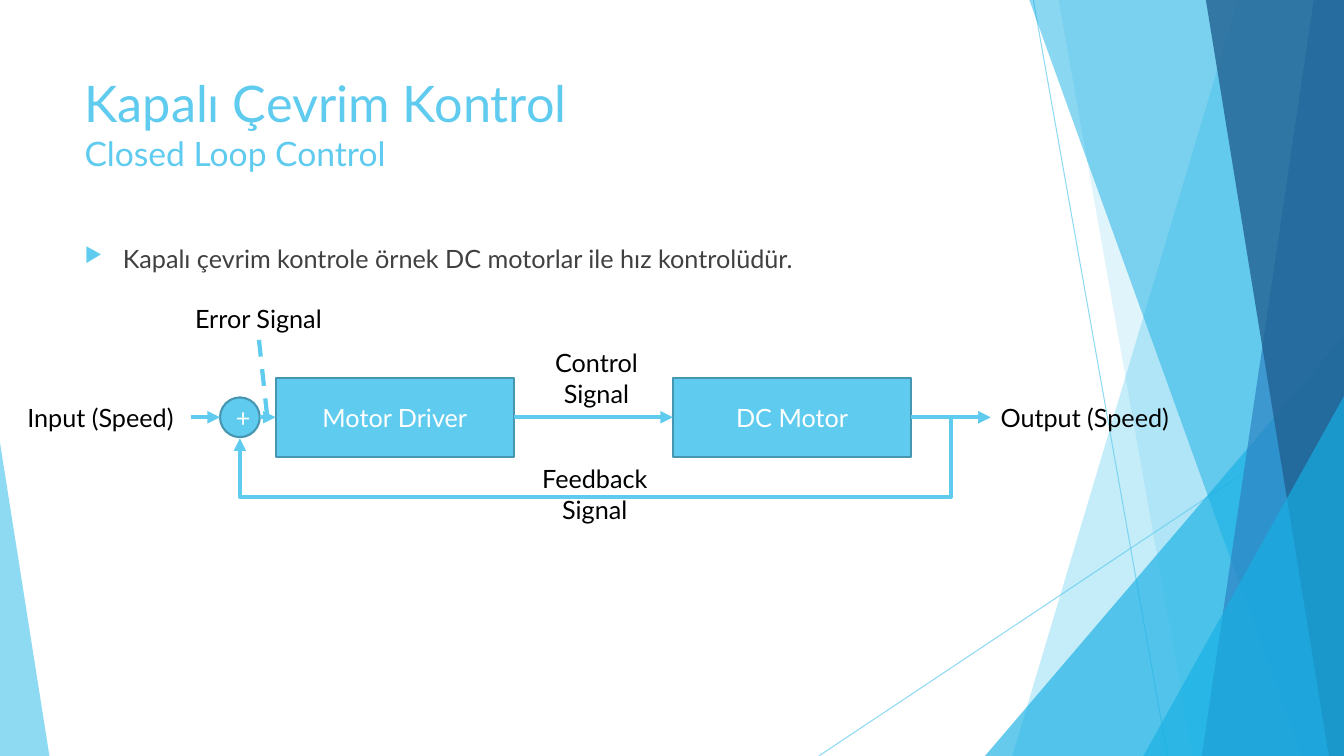
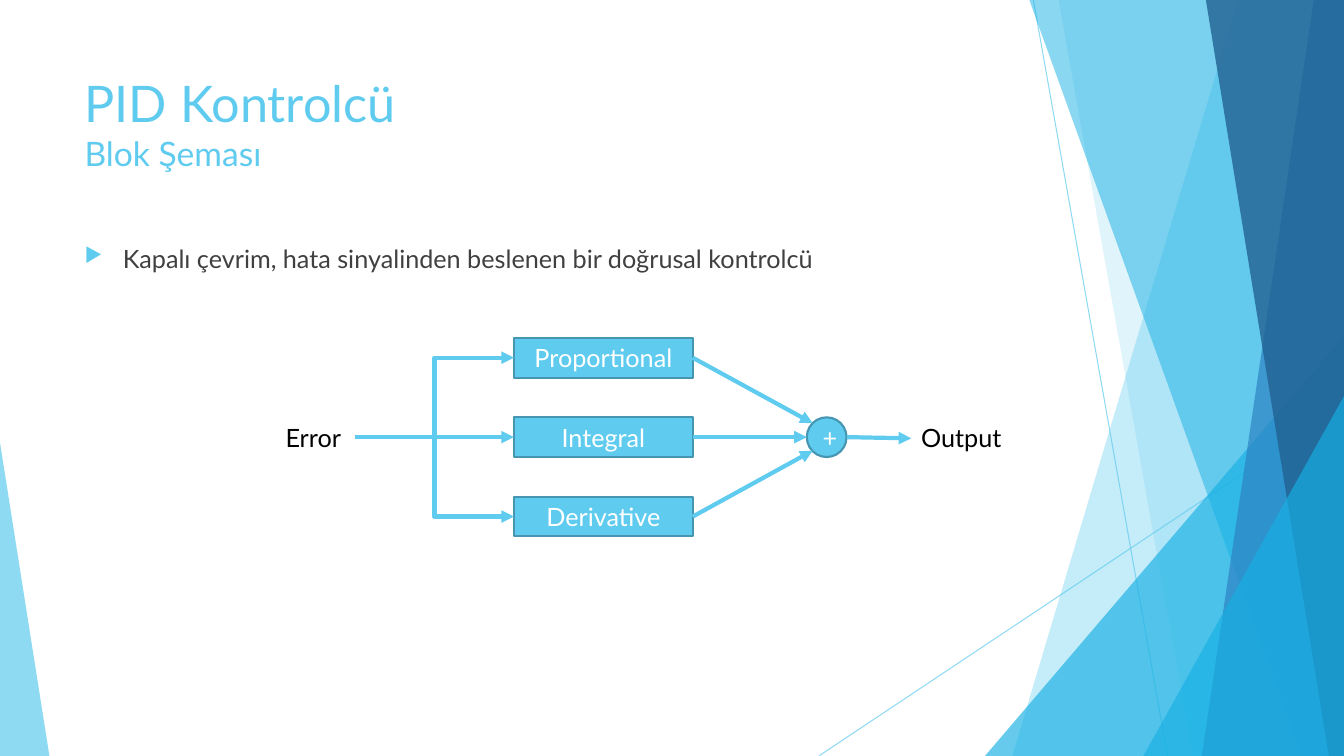
from lxml import etree
from pptx import Presentation
from pptx import util as u
from pptx.dml.color import RGBColor
from pptx.enum import dml, shapes, text
from pptx.oxml.ns import qn

SKY = RGBColor(0x5F, 0xCB, 0xEF)
CYAN = RGBColor(0x17, 0xB0, 0xE4)
BLUE = RGBColor(0x2E, 0x83, 0xC3)
NAVY = RGBColor(0x22, 0x62, 0x92)
OUTLINE = RGBColor(0x46, 0x96, 0xB1)
GRAY = RGBColor(0x40, 0x40, 0x40)
BLACK = RGBColor(0, 0, 0)
WHITE = RGBColor(0xFF, 0xFF, 0xFF)


class Deck:
    """Style of the deck and the slide being filled."""

    FONT = "Lato"
    PITCH = 0.394
    ORIGIN = (0.37, 0.2)

    def __init__(self):
        """Start a widescreen presentation."""
        self.prs = Presentation()
        self.prs.slide_width = u.Inches(13.33)
        self.prs.slide_height = u.Inches(7.5)
        self.shapes = None

    def share(self, across, down):
        """Turn percentages of the slide's width and height into lengths."""
        return (int(self.prs.slide_width * across / 100),
                int(self.prs.slide_height * down / 100))

    def span(self, cells):
        """Length of a number of grid cells."""
        return u.Inches(self.PITCH * cells)

    def at(self, col, row):
        """Position of a grid point."""
        left, top = self.ORIGIN
        return u.Inches(left) + self.span(col), u.Inches(top) + self.span(row)

    def slide(self, title, subtitle, point):
        """Add a slide with the backdrop, a title and one bullet."""
        page = self.prs.slides.add_slide(self.prs.slide_layouts[6])
        self.shapes = page.shapes
        self.backdrop()
        self.heading(title, subtitle)
        self.bullet(point)

    def backdrop(self):
        """Draw the overlapping facets at the slide's edges."""
        for start, end in (((76.89, 0), (86.87, 100)), ((100, 53.73), (60.92, 100))):
            ray = self.line(self.share(*start), self.share(*end), weight=0.75, arrow=False)
            self.fade(ray.line.fill, 70)
        self.band(92.12, 75.32, SKY, 36)
        self.band(78.77, 88.75, SKY, 20)
        self.corner(73.29, 44.4, 26.71, CYAN, 66)
        self.band(76.59, 96.85, CYAN, 50)
        self.band(97.75, 89.42, BLUE, 70)
        self.band(89.72, 98.87, NAVY, 80)
        self.corner(85.07, 52.4, 14.93, CYAN, 66)
        self.corner(0, 58.53, 3.68, SKY, 70, apex=0)

    def fade(self, fill, opacity):
        """Give a solid fill an opacity in percent."""
        colour = fill._xPr.find(".//" + qn("a:srgbClr"))
        etree.SubElement(colour, qn("a:alpha"), val=str(opacity * 1000))

    def facet(self, shape, colour, opacity):
        """Style a translucent, borderless shape."""
        shape.shadow.inherit = False
        shape.line.fill.background()
        shape.fill.solid()
        shape.fill.fore_color.rgb = colour
        self.fade(shape.fill, opacity)

    def band(self, top, bottom, colour, opacity):
        """Fill from a slanted edge to the slide's right side."""
        outline = self.shapes.build_freeform(*self.share(top, 0))
        outline.add_line_segments(
            [self.share(100, 0), self.share(100, 100), self.share(bottom, 100)])
        self.facet(outline.convert_to_shape(), colour, opacity)

    def corner(self, left, top, width, colour, opacity, apex=1):
        """Draw a right triangle standing on the slide's bottom edge."""
        triangle = self.shapes.add_shape(
            shapes.MSO_SHAPE.ISOSCELES_TRIANGLE,
            *self.share(left, top), *self.share(width, 100 - top))
        triangle.adjustments[0] = apex
        self.facet(triangle, colour, opacity)

    def style(self, paragraph, colour, size=18, align=None):
        """Set a paragraph's font and alignment."""
        font = paragraph.font
        font.name, font.size, font.color.rgb = self.FONT, u.Pt(size), colour
        paragraph.alignment = align

    def text_area(self, top, height):
        """Add a wrapping text box in the main column; return its paragraph."""
        frame = self.shapes.add_textbox(
            *self.share(5.55, top), *self.share(70.52, height)).text_frame
        frame.word_wrap = True
        return frame.paragraphs[0]

    def heading(self, title, subtitle):
        """Write the title with a smaller second line."""
        paragraph = self.text_area(8.93, 19.2)
        self.style(paragraph, SKY, 36)
        paragraph.add_run().text = title
        paragraph.add_line_break()
        second = paragraph.add_run()
        second.text = subtitle
        second.font.size = u.Pt(24)

    def bullet(self, point):
        """Write the bulleted sentence."""
        paragraph = self.text_area(31.47, 56.53)
        paragraph.text = point
        self.style(paragraph, GRAY)
        paragraph.space_before = u.Pt(10)
        props = paragraph._p.get_or_add_pPr()
        indent = u.Inches(0.38)
        props.set("marL", str(indent))
        props.set("indent", str(-indent))
        marker = etree.Element(qn("a:buClr"))
        etree.SubElement(marker, qn("a:srgbClr"), val=str(SKY))
        size = etree.Element(qn("a:buSzPct"), val="80000")
        sign = etree.Element(qn("a:buChar"), char="▶")
        spacing = props.find(qn("a:spcBef"))
        for part in (sign, size, marker):
            spacing.addnext(part)

    def block(self, words, col, row, cols, rows, kind=shapes.MSO_SHAPE.RECTANGLE):
        """Draw a block of the diagram."""
        block = self.shapes.add_shape(
            kind, *self.at(col, row), self.span(cols), self.span(rows))
        block.shadow.inherit = False
        block.fill.solid()
        block.fill.fore_color.rgb = SKY
        block.line.color.rgb = OUTLINE
        block.line.width = u.Pt(1.5)
        frame = block.text_frame
        frame.vertical_anchor = text.MSO_ANCHOR.MIDDLE
        frame.text = words
        self.style(frame.paragraphs[0], WHITE, align=text.PP_ALIGN.CENTER)

    def sum_point(self, col, row):
        """Draw the summing circle around a grid point."""
        self.block("+", col - 0.5, row - 0.5, 1, 1, shapes.MSO_SHAPE.OVAL)

    def label(self, words, col, row, cols, centred=False):
        """Write a signal's name, one paragraph per line."""
        rows = 1.02 + 0.78 * words.count("\n")
        frame = self.shapes.add_textbox(
            *self.at(col, row), self.span(cols), self.span(rows)).text_frame
        frame.word_wrap = not centred
        frame.auto_size = text.MSO_AUTO_SIZE.SHAPE_TO_FIT_TEXT
        frame.text = words
        for paragraph in frame.paragraphs:
            self.style(paragraph, BLACK,
                       align=text.PP_ALIGN.CENTER if centred else None)

    def stroke(self, shape, weight, arrow):
        """Style a line and give it an arrowhead if wanted."""
        shape.line.color.rgb = SKY
        shape.line.width = u.Pt(weight)
        if arrow:
            etree.SubElement(shape.line._get_or_add_ln(), qn("a:tailEnd"), type="triangle")

    def line(self, start, end, kind=shapes.MSO_CONNECTOR.STRAIGHT, weight=3, arrow=True):
        """Connect two positions."""
        line = self.shapes.add_connector(kind, *start, *end)
        self.stroke(line, weight, arrow)
        etree.SubElement(line._element.spPr, qn("a:effectLst"))
        return line

    def flow(self, start, end, **options):
        """Connect two grid points."""
        return self.line(self.at(*start), self.at(*end), **options)

    def loop(self, start, *corners):
        """Draw an arrow that turns at each grid point."""
        route = self.shapes.build_freeform(*self.at(*start))
        route.add_line_segments([self.at(*corner) for corner in corners], close=False)
        feedback = route.convert_to_shape()
        feedback.shadow.inherit = False
        feedback.fill.background()
        self.stroke(feedback, 3, True)


def closed_loop(deck):
    """Build the closed loop control slide."""
    deck.slide("Kapalı Çevrim Kontrol", "Closed Loop Control",
               "Kapalı çevrim kontrole örnek DC motorlar ile hız kontrolüdür.")
    axis, sum_col = 10, 5.1
    for name, col in (("DC Motor", 16), ("Motor Driver", 6)):
        deck.block(name, col, axis - 1, 6, 2)
    deck.sum_point(sum_col, axis)
    for start, end in ((22, 24), (12, 16), (3.88, 4.6), (5.6, 6)):
        deck.flow((start, axis), (end, axis))
    deck.loop((23, axis), (23, 12), (sum_col, 12), (sum_col, axis + 0.53))
    deck.label("Output (Speed)", 24, axis - 0.5, 7.5)
    deck.label("Input (Speed)", -0.5, axis - 0.5, 4.4)
    deck.label("Control\nSignal", 12.77, 8.12, 2.61, centred=True)
    deck.label("Feedback\nSignal", 12.41, 11.04, 3.25, centred=True)
    deck.label("Error Signal", 3.65, 7, 3.83, centred=True)
    pointer = deck.flow((5.58, 8.05), (5.79, axis), arrow=False)
    pointer.line.dash_style = dml.MSO_LINE.DASH


def pid_controller(deck):
    """Build the PID block diagram slide."""
    deck.slide("PID Kontrolcü", "Blok Şeması",
               "Kapalı çevrim, hata sinyalinden beslenen bir doğrusal kontrolcü")
    axis, left, width = 10.5, 12, 4.5
    deck.label("Error", 6, axis - 0.5, 2)
    deck.sum_point(19.87, axis)
    terms = (("Proportional", -2, (19.52, 10.15)),
             ("Integral", 0, (19.37, axis)),
             ("Derivative", 2, (19.52, 10.84)))
    for name, offset, target in terms:
        middle = axis + offset
        deck.block(name, left, middle - 0.5, width, 1)
        bend = shapes.MSO_CONNECTOR.ELBOW if offset else shapes.MSO_CONNECTOR.STRAIGHT
        deck.flow((8, axis), (left, middle), kind=bend)
        deck.flow((left + width, middle), target)
    deck.label("Output", 22, axis - 0.5, 2.82)
    deck.flow((20.38, axis), (22, axis + 0.03))


deck = Deck()
closed_loop(deck)
pid_controller(deck)
deck.prs.save("out.pptx")
